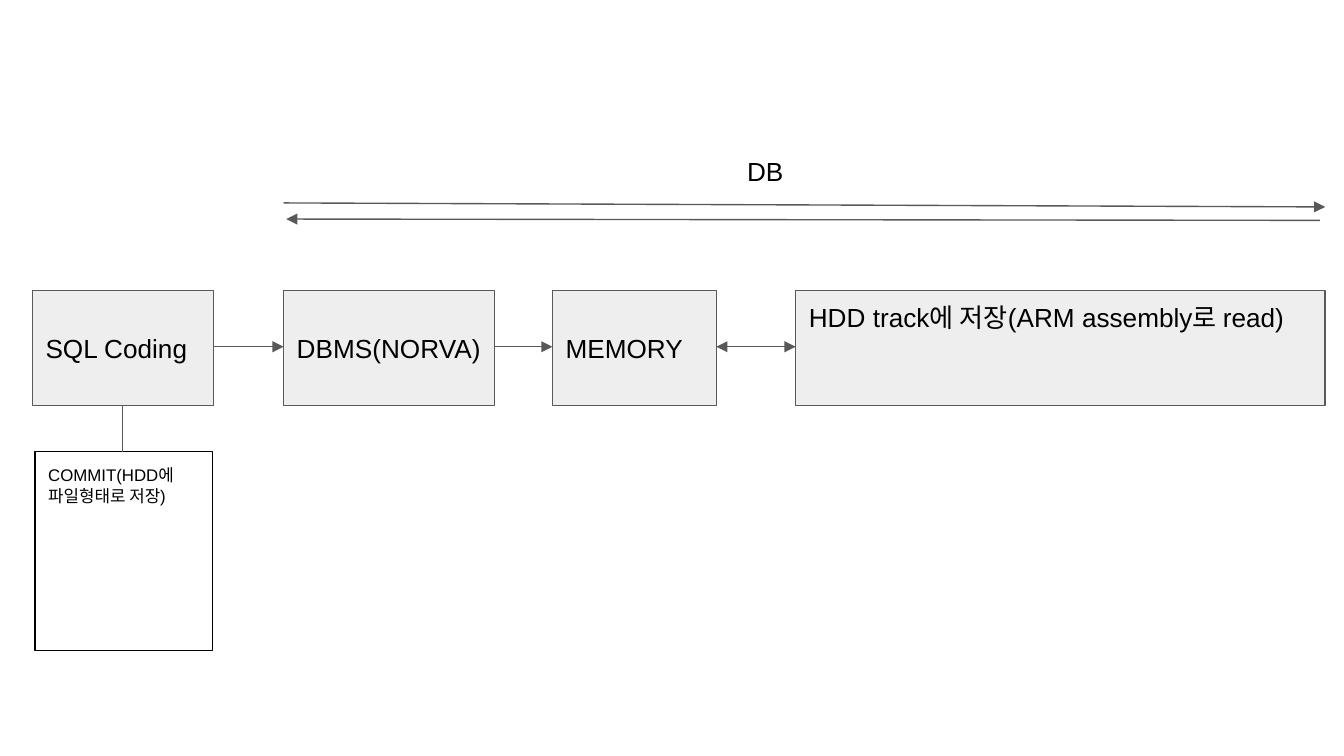
import pptx
import pptx.util
import pptx.dml.color
import pptx.enum.shapes
import pptx.enum.text
import pptx.oxml
import pptx.oxml.ns
import lxml.etree

COLORS = {"fill": "EEEEEE", "line": "595959", "ink": "000000", "page": "FFFFFF"}
COLS = 1000
CELL = pptx.util.Inches(0.01)
ANCHOR = pptx.enum.text.MSO_ANCHOR


def rgb(name):
    """Return the named colour."""
    return pptx.dml.color.RGBColor.from_string(COLORS[name])


def write(sp, text, size=14, anchor=ANCHOR.MIDDLE, top=10, right=10):
    """Set the text of a shape, with the insets in grid cells."""
    tf = sp.text_frame
    tf.word_wrap = True
    tf.vertical_anchor = anchor
    tf.margin_left = tf.margin_bottom = 10 * CELL
    tf.margin_top, tf.margin_right = top * CELL, right * CELL
    p = tf.paragraphs[0]
    p.alignment = pptx.enum.text.PP_ALIGN.LEFT
    r = p.add_run()
    r.text = text
    r.font.size = pptx.util.Pt(size)
    r.font.name = "Arial"
    r.font.color.rgb = rgb("ink")


def add_box(s, box, text, fill=None, line="line", **style):
    """Draw a labelled rectangle in a box of grid cells."""
    sp = s.shapes.add_shape(pptx.enum.shapes.MSO_SHAPE.RECTANGLE, *(v * CELL for v in box))
    sp.shadow.inherit = False
    if fill:
        sp.fill.solid()
        sp.fill.fore_color.rgb = rgb(fill)
    else:
        sp.fill.background()
    sp.line.color.rgb = rgb(line)
    sp.line.width = pptx.util.Pt(0.75)
    write(sp, text, **style)


def add_line(s, x1, y1, x2, y2, arrow=True):
    """Draw a straight line, with an arrowhead at its end if wanted."""
    c = s.shapes.add_connector(pptx.enum.shapes.MSO_CONNECTOR.STRAIGHT,
                               *(v * CELL for v in (x1, y1, x2, y2)))
    c.line.color.rgb = rgb("line")
    c.line.width = pptx.util.Pt(0.75)
    if arrow:
        ln = c.line._get_or_add_ln()
        lxml.etree.SubElement(ln, pptx.oxml.ns.qn("a:tailEnd"), type="triangle")
    lxml.etree.SubElement(c._element.spPr, pptx.oxml.ns.qn("a:effectLst"))


def add_db_span(s, box):
    """Draw the DB label above a pair of opposite arrows."""
    x, y, w, h = box
    tb = s.shapes.add_textbox(*(v * CELL for v in (x + 335, y, 71, 36)))
    write(tb, "DB", anchor=ANCHOR.TOP)
    add_line(s, x, y + h - 13, x + w, y + h - 10)
    add_line(s, x + w - 4, y + h, x + 2, y + h - 1)


def add_flow(s, box):
    """Draw the row of stages and the arrows in the gaps between them."""
    x, y, w, h = box
    mid = y + (h - 1) // 2
    stages = [  # left, width, text, whether data also flows back, text style
        (0, 135, "SQL Coding", False, {}),
        (187, 157, "DBMS(NORVA)", False, {}),
        (387, 122, "MEMORY", False, {}),
        (568, w - 568, "HDD track에 저장(ARM assembly로 read)", True,
         {"anchor": ANCHOR.TOP, "top": 8, "right": 20}),
    ]
    end = None
    for left, width, text, back, style in stages:
        add_box(s, (x + left, y, width, h), text, fill="fill", **style)
        if end:
            add_line(s, end, mid, x + left, mid)
        if back:
            add_line(s, x + left, mid, end, mid)
        end = x + left + width


def add_commit(s, box, stem):
    """Draw the commit note hanging from the first stage by a stem."""
    x, y, w, h = box
    add_box(s, box, "COMMIT(HDD에 파일형태로 저장)", line="ink", size=9, anchor=ANCHOR.TOP)
    add_line(s, x + w // 2 - 1, y - stem, x + w // 2 - 1, y, arrow=False)


prs = pptx.Presentation()
prs.slide_width = COLS * CELL
prs.slide_height = prs.slide_width * 9 // 16
s = prs.slides.add_slide(prs.slide_layouts[6])
s.background.fill.solid()
s.background.fill.fore_color.rgb = rgb("page")
add_flow(s, (24, 216, 962, 86))
add_db_span(s, (211, 106, 775, 58))
add_commit(s, (26, 336, 132, 148), 35)
prs.save("out.pptx")
